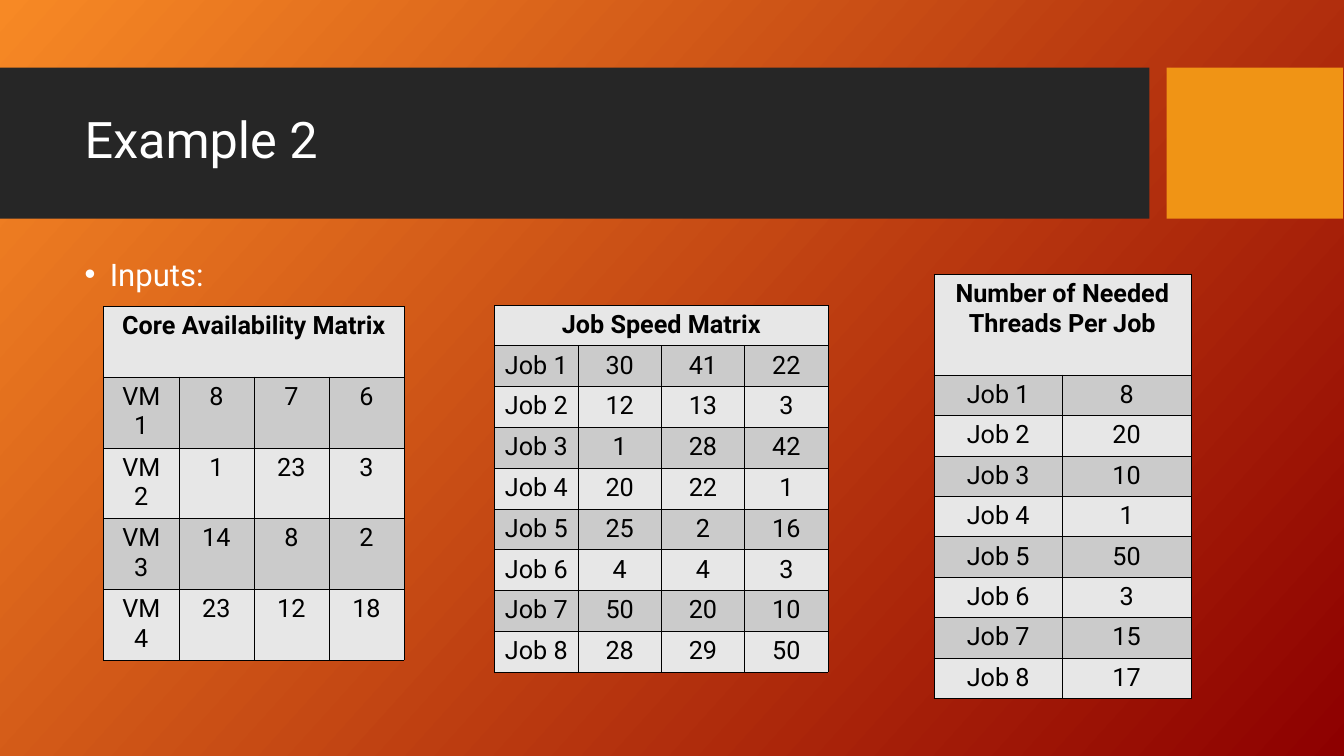
from lxml.etree import SubElement
from pptx import Presentation
from pptx.dml.color import RGBColor
from pptx.enum.shapes import MSO_SHAPE
from pptx.enum.text import MSO_ANCHOR, MSO_AUTO_SIZE, PP_ALIGN
from pptx.oxml import parse_xml
from pptx.oxml.ns import nsdecls, qn
from pptx.util import Pt

PX = 9144  # EMU per px, 100 px to the inch


def color(value):
    return RGBColor.from_string(value)


class SlideBuilder:
    font = "Roboto"
    white, black = "FFFFFF", "000000"
    light, dark = "E7E7E7", "CBCBCB"

    def __init__(self, deck):
        self.page = deck.slides.add_slide(deck.slide_layouts[1])

    def background(self, start, end, angle):
        fill = self.page.background.fill
        fill.gradient()
        fill.gradient_angle = 360 - angle
        for stop, value in zip(fill.gradient_stops, (start, end)):
            stop.color.rgb = color(value)

    def bar(self, left, top, width, height, value):
        box = self.page.shapes.add_shape(
            MSO_SHAPE.RECTANGLE, left * PX, top * PX, width * PX, height * PX)
        box.shadow.inherit = False
        box.fill.solid()
        box.fill.fore_color.rgb = color(value)
        box.line.fill.background()

    def style(self, para, size, value, bold=False):
        para.font.name = self.font
        para.font.size = Pt(size)
        para.font.bold = bold
        para.font.color.rgb = color(value)

    def placeholder(self, index, text, area, size, spacing, anchor, bullet=False):
        box = self.page.placeholders[index]
        box.left, box.top, box.width, box.height = (length * PX for length in area)
        # Bring the text in front of the bars
        box.element.getparent().append(box.element)
        frame = box.text_frame
        frame.text = text
        frame.word_wrap = True
        frame.auto_size = MSO_AUTO_SIZE.NONE
        frame.vertical_anchor = anchor
        para = frame.paragraphs[0]
        para.alignment = PP_ALIGN.LEFT
        para.line_spacing = spacing
        para.space_before = Pt(0)
        if bullet:
            self.bullet(para, 25)
        self.style(para, size, self.white)

    def bullet(self, para, indent):
        properties = para._p.get_or_add_pPr()
        properties.set("marL", str(indent * PX))
        properties.set("indent", str(-indent * PX))
        SubElement(SubElement(properties, qn("a:buClr")), qn("a:srgbClr"), val=self.white)
        SubElement(properties, qn("a:buChar"), char="•")

    def borders(self, cell):
        properties = cell._tc.get_or_add_tcPr()
        for position, side in enumerate("LRTB"):
            properties.insert(position, parse_xml(
                f'<a:ln{side} {nsdecls("a")} w="{Pt(0.45)}"><a:solidFill>'
                f'<a:srgbClr val="{self.black}"/></a:solidFill></a:ln{side}>'))

    def table(self, left, top, width, header_height, body_height, heading, rows):
        row_count, column_count = len(rows) + 1, len(rows[0])
        table = self.page.shapes.add_table(
            row_count, column_count, left * PX, top * PX,
            width * PX, (header_height + body_height) * PX).table
        table.first_row = table.horz_banding = False
        for column in table.columns:
            column.width = width * PX // column_count
        for row in table.rows:
            row.height = body_height * PX // len(rows)
        table.rows[0].height = header_height * PX

        contents = [[heading] + [""] * (column_count - 1), *rows]
        for row_index, values in enumerate(contents):
            for column_index, value in enumerate(values):
                cell = table.cell(row_index, column_index)
                cell.text = str(value)
                cell.fill.solid()
                cell.fill.fore_color.rgb = color(self.dark if row_index % 2 else self.light)
                self.borders(cell)
                para = cell.text_frame.paragraphs[0]
                para.alignment = PP_ALIGN.CENTER
                self.style(para, 18, self.black, bold=row_index == 0)
        table.cell(0, 0).merge(table.cell(0, column_count - 1))


def numbered(label, rows):
    return [[f"{label} {number}", *values] for number, values in enumerate(rows, 1)]


def main():
    deck = Presentation()
    deck.slide_width, deck.slide_height = 1334 * PX, 750 * PX
    slide = SlideBuilder(deck)

    # Background and title band
    slide.background("F78925", "8D0000", 42)
    slide.bar(0, 67, 1141, 150, "262626")
    slide.bar(1158, 67, 175, 150, "F09415")

    # Title and list
    slide.placeholder(0, "Example 2", (74, 82, 1051, 118), 36, 0.9, MSO_ANCHOR.MIDDLE)
    slide.placeholder(1, "Inputs:", (74, 256, 1051, 42), 22.2, 0.8, MSO_ANCHOR.TOP,
                      bullet=True)

    # Input tables
    cores = [(8, 7, 6), (1, 23, 3), (14, 8, 2), (23, 12, 18)]
    speeds = [(30, 41, 22), (12, 13, 3), (1, 28, 42), (20, 22, 1),
              (25, 2, 16), (4, 4, 3), (50, 20, 10), (28, 29, 50)]
    threads = [(8,), (20,), (10,), (1,), (50,), (3,), (15,), (17,)]
    slide.table(103, 304, 298, 70, 281, "Core Availability Matrix", numbered("VM", cores))
    slide.table(491, 303, 331, 40, 324, "Job Speed Matrix", numbered("Job", speeds))
    slide.table(927, 272, 255, 100, 321, "Number of Needed Threads Per Job",
                numbered("Job", threads))

    deck.save("out.pptx")


if __name__ == "__main__":
    main()
